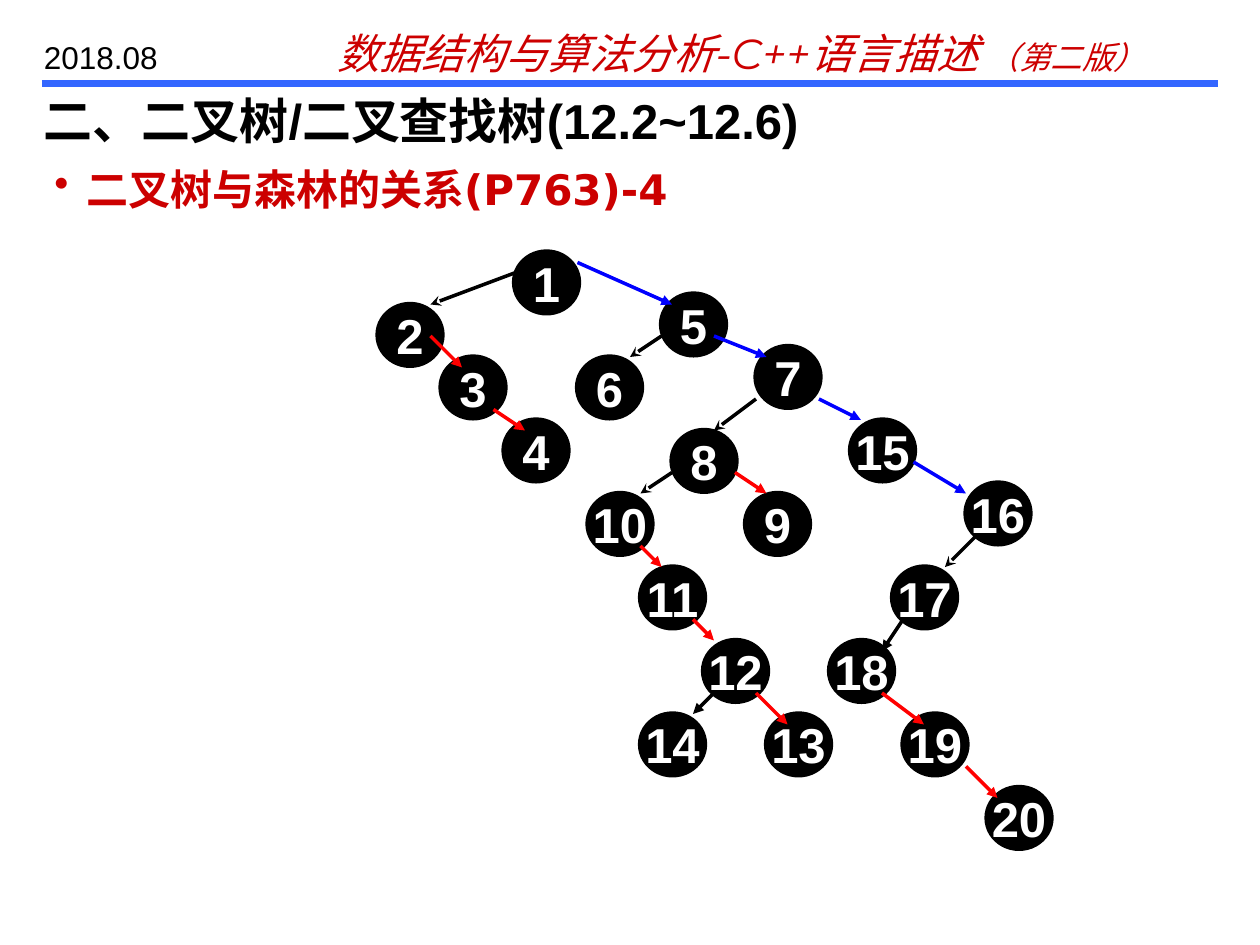
from lxml import etree
from pptx import Presentation
from pptx import util as u
from pptx.dml.color import RGBColor
from pptx.enum import shapes, text
from pptx.oxml.ns import qn

BLACK = RGBColor(0, 0, 0)
WHITE = RGBColor(255, 255, 255)
CRIMSON = RGBColor(0xCC, 0, 0)
RED = RGBColor(255, 0, 0)
BLUE = RGBColor(0, 0, 255)
RULE_BLUE = RGBColor(0x33, 0x66, 0xFF)

# Label: left, top, in grid units of 1/12 inch
NODES = {
    15: (81, 40), 16: (92, 46), 1: (49, 24), 7: (72, 33), 8: (64, 41),
    6: (55, 34), 5: (63, 28), 3: (42, 34), 2: (36, 29), 4: (48, 40),
    9: (71, 47), 10: (56, 47), 11: (61, 54), 12: (67, 61), 13: (73, 68),
    14: (61, 68), 17: (85, 54), 18: (79, 61), 19: (86, 68), 20: (94, 75),
}

# Colour, arrowhead, and edges as x1, y1, x2, y2
EDGES = [
    (BLACK, "stealth", [(49, 26, 41, 29), (63, 32, 60, 34), (64, 45, 61, 47),
                        (72, 38, 68, 41), (93, 51, 90, 54)]),
    (RED, "triangle", [(41, 32, 44, 35), (47, 39, 50, 41), (72, 66, 75, 69),
                       (70, 45, 73, 47), (61, 52, 63, 54), (66, 59, 68, 61),
                       (84, 66, 88, 69), (92, 73, 95, 76)]),
    (BLUE, "triangle", [(55, 25, 64, 29), (68, 32, 73, 34),
                        (78, 38, 82, 40), (87, 44, 92, 47)]),
    (BLACK, "triangle", [(68, 66, 66, 68), (86, 59, 84, 62)]),
]


def grid(*units):
    """Turn grid units of 1/12 inch into lengths."""
    return [u.Cm(n * 2.54 / 12) for n in units]


class TreeSlide:
    font = "Arial"
    node_size = (6.1, 5.8)
    node_text = 28

    def __init__(self, slide):
        self.slide = slide

    def style(self, run, size, color, font=None, bold=False, italic=False):
        run.font.size = u.Pt(size)
        run.font.color.rgb = color
        run.font.name = font or self.font
        run.font.bold = bold
        run.font.italic = italic

    def label(self, box, words, size, color, **look):
        """Add a one-line text box and return its paragraph."""
        frame = self.slide.shapes.add_textbox(*grid(*box)).text_frame
        frame.word_wrap = True
        line = frame.paragraphs[0]
        line.text = words
        self.style(line.runs[0], size, color, **look)
        return line

    def bullet(self, box, words, size, color, **look):
        properties = self.label(box, words, size, color, **look)._p.get_or_add_pPr()
        indent = u.Cm(0.64)
        properties.set("marL", str(indent))
        properties.set("indent", str(-indent))
        tint = etree.SubElement(properties, qn("a:buClr"))
        etree.SubElement(tint, qn("a:srgbClr"), val=str(color))
        etree.SubElement(properties, qn("a:buChar"), char="•")

    def node(self, number, left, top):
        circle = self.slide.shapes.add_shape(
            shapes.MSO_SHAPE.OVAL, *grid(left, top, *self.node_size))
        circle.shadow.inherit = False
        circle.fill.solid()
        circle.fill.fore_color.rgb = BLACK
        circle.line.color.rgb = BLACK
        circle.line.width = u.Pt(3)
        frame = circle.text_frame
        frame.text = str(number)
        frame.word_wrap = False
        frame.vertical_anchor = text.MSO_ANCHOR.MIDDLE
        line = frame.paragraphs[0]
        line.alignment = text.PP_ALIGN.CENTER
        line.space_before = u.Pt(7)
        self.style(line.runs[0], self.node_text, WHITE, bold=True)

    def line(self, ends, color, width, head=None):
        connector = self.slide.shapes.add_connector(
            shapes.MSO_CONNECTOR.STRAIGHT, *grid(*ends))
        connector.line.color.rgb = color
        connector.line.width = u.Pt(width)
        if head:
            outline = connector.line._get_or_add_ln()
            etree.SubElement(outline, qn("a:tailEnd"), type=head)
        etree.SubElement(connector._element.spPr, qn("a:effectLst"))


def main():
    deck = Presentation()
    deck.slide_width, deck.slide_height = u.Cm(25.4), u.Cm(19.05)
    page = TreeSlide(deck.slides.add_slide(deck.slide_layouts[6]))

    page.line((4, 8, 116, 8), RULE_BLUE, 4)
    course = page.label((31, 2, 84, 6), "数据结构与算法分析-C++语言描述 ",
                        24, CRIMSON, font="Montserrat", italic=True)
    edition = course.add_run()
    edition.text = "（第二版）"
    page.style(edition, 18, CRIMSON, font="Montserrat", italic=True)
    page.label((3, 3, 17, 4.8), "2018.08", 18, BLACK)
    page.bullet((4, 15, 116, 6), "二叉树与森林的关系(P763)-4",
                24, CRIMSON, font="DejaVu Sans", bold=True)
    page.label((3, 8, 117, 6), "二、二叉树/二叉查找树(12.2~12.6)",
               28, BLACK, bold=True)

    for number, corner in NODES.items():
        page.node(number, *corner)
    for color, head, edges in EDGES:
        for ends in edges:
            page.line(ends, color, 2, head)

    deck.save("out.pptx")


if __name__ == "__main__":
    main()
